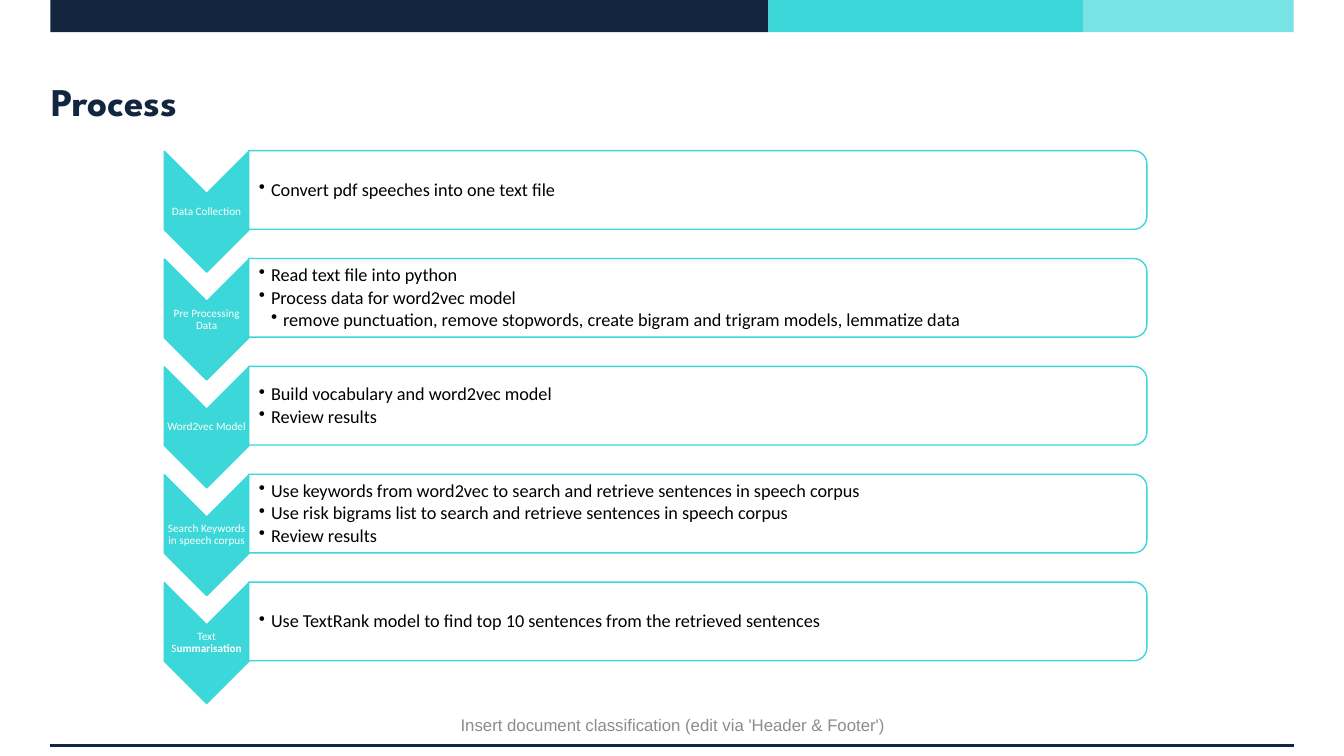
from dataclasses import dataclass

from lxml.etree import SubElement
from pptx import Presentation
from pptx.dml.color import RGBColor
from pptx.enum.shapes import MSO_CONNECTOR, MSO_SHAPE
from pptx.enum.text import MSO_ANCHOR, PP_ALIGN
from pptx.oxml.ns import qn
from pptx.util import Pt

PX = 9144  # 100 px to the inch


@dataclass(frozen=True)
class Theme:
    navy: str = "12273F"
    teal: str = "3CD7D9"
    pale: str = "77E3E4"
    white: str = "FFFFFF"
    black: str = "000000"
    gray: str = "8C8C8C"
    head: str = "League Spartan"
    body: str = "Calibri"
    foot: str = "Arial"
    title: int = 28
    item: int = 13
    note: int = 12
    label: int = 8


T = Theme()

# Each step: label runs as (text, bold), then bullets as (level, text)
STEPS = [
    ([("Data Collection", False)],
     [(1, "Convert pdf speeches into one text file")]),
    ([("Pre Processing Data", False)],
     [(1, "Read text file into python"),
      (1, "Process data for word2vec model"),
      (2, "remove punctuation, remove stopwords, create bigram and trigram models, "
          "lemmatize data")]),
    ([("Word2vec Model", False)],
     [(1, "Build vocabulary and word2vec model"),
      (1, "Review results")]),
    ([("Search Keywords in speech corpus", False)],
     [(1, "Use keywords from word2vec to search and retrieve sentences in speech corpus"),
      (1, "Use risk bigrams list to search and retrieve sentences in speech corpus"),
      (1, "Review results")]),
    ([("Text S", False), ("ummarisation", True)],
     [(1, "Use TextRank model to find top 10 sentences from the retrieved sentences")]),
]


def emu(*sizes):
    return [size * PX for size in sizes]


def add_shape(slide, kind, box, fill, line=None):
    shape = slide.shapes.add_shape(kind, *emu(*box))
    shape.shadow.inherit = False
    shape.fill.solid()
    shape.fill.fore_color.rgb = RGBColor.from_string(fill)
    if line:
        shape.line.color.rgb = RGBColor.from_string(line)
        shape.line.width = Pt(1)
    else:
        shape.line.fill.background()
    return shape


def add_turned(slide, kind, box, fill):
    """Add a shape turned by 90 degrees so that it covers the given box."""
    x, y, w, h = box
    shape = add_shape(slide, kind, (x, y, w, h), fill, T.teal)
    shape.left, shape.top = emu(x + (w - h) // 2, y + (h - w) // 2)
    shape.width, shape.height = emu(h, w)
    shape.rotation = 90
    return shape


def add_frame(slide, box, pads):
    """Add a wrapping, middle-anchored text box; pads are left, top, right, bottom."""
    frame = slide.shapes.add_textbox(*emu(*box)).text_frame
    frame.word_wrap = True
    frame.vertical_anchor = MSO_ANCHOR.MIDDLE
    (frame.margin_left, frame.margin_top,
     frame.margin_right, frame.margin_bottom) = emu(*pads)
    return frame


def add_run(para, text, name, size, color, bold=False):
    run = para.add_run()
    run.text = text
    run.font.name = name
    run.font.size = Pt(size)
    run.font.bold = bold
    run.font.color.rgb = RGBColor.from_string(color)


def add_bullet(para, level):
    para.level = level
    props = para._p.get_or_add_pPr()
    props.set("marL", str(12 * level * PX))
    props.set("indent", str(-12 * PX))
    SubElement(props, qn("a:buChar")).set("char", "•")


def draw_band(slide, box):
    x, y, w, h = box
    navy, teal = 712, 312
    parts = [(navy, T.navy), (teal, T.teal), (w - navy - teal, T.pale)]
    for width, color in parts:
        add_shape(slide, MSO_SHAPE.RECTANGLE, (x, y, width, h), color)
        x += width


def draw_title(slide, box):
    para = add_frame(slide, box, (0, 0, 0, 0)).paragraphs[0]
    add_run(para, "Process", T.head, T.title, T.navy, True)


def draw_label(slide, box, runs):
    x, y, w, h = box
    add_turned(slide, MSO_SHAPE.CHEVRON, box, T.teal)
    para = add_frame(slide, (x, y + w // 2, w, h - 2 * (w // 2)), (1, 1, 1, 1)).paragraphs[0]
    para.alignment = PP_ALIGN.CENTER
    para.line_spacing = 0.9
    for text, bold in runs:
        add_run(para, text, T.body, T.label, T.white, bold)


def draw_panel(slide, box, items):
    x, y, w, h = box
    panel = add_turned(slide, MSO_SHAPE.ROUND_2_SAME_RECTANGLE, box, T.white)
    color = panel.fill._xPr.find(qn("a:solidFill"))[0]
    SubElement(color, qn("a:alpha")).set("val", "90000")
    frame = add_frame(slide, (x, y + 4, w - 4, h - 8), (10, 1, 1, 1))
    for i, (level, text) in enumerate(items):
        para = frame.add_paragraph() if i else frame.paragraphs[0]
        para.line_spacing = 0.9
        para.space_after = Pt(2)
        add_bullet(para, level)
        add_run(para, text, T.body, T.item, T.black)


def draw_steps(slide, box):
    """Stack the steps, a chevron and its panel each, at one pitch."""
    x, y, w, h = box
    wide, tall = 84, 120
    pitch = (h - tall) // (len(STEPS) - 1)
    for i, (runs, items) in enumerate(STEPS):
        top = y + i * pitch
        draw_label(slide, (x, top, wide, tall), runs)
        draw_panel(slide, (x + wide, top, w - wide, 78), items)


def draw_foot(slide, box):
    x, y, w, h = box
    rule = slide.shapes.add_connector(MSO_CONNECTOR.STRAIGHT, *emu(x, y + h, x + w, y + h))
    rule.line.color.rgb = RGBColor.from_string(T.navy)
    rule.line.width = Pt(2.25)
    SubElement(rule._element.spPr, qn("a:effectLst"))
    para = add_frame(slide, (x + 284, y, 667, h), (10, 5, 10, 5)).paragraphs[0]
    para.alignment = PP_ALIGN.CENTER
    add_run(para, "Insert document classification (edit via 'Header & Footer')",
            T.foot, T.note, T.gray)


def main():
    deck = Presentation()
    deck.slide_width, deck.slide_height = emu(1333, 750)
    slide = deck.slides.add_slide(deck.slide_layouts[6])
    draw_band(slide, (50, 0, 1233, 32))
    draw_title(slide, (51, 50, 1233, 100))
    draw_steps(slide, (163, 150, 975, 548))
    draw_foot(slide, (50, 698, 1233, 42))
    deck.save("out.pptx")


if __name__ == "__main__":
    main()
